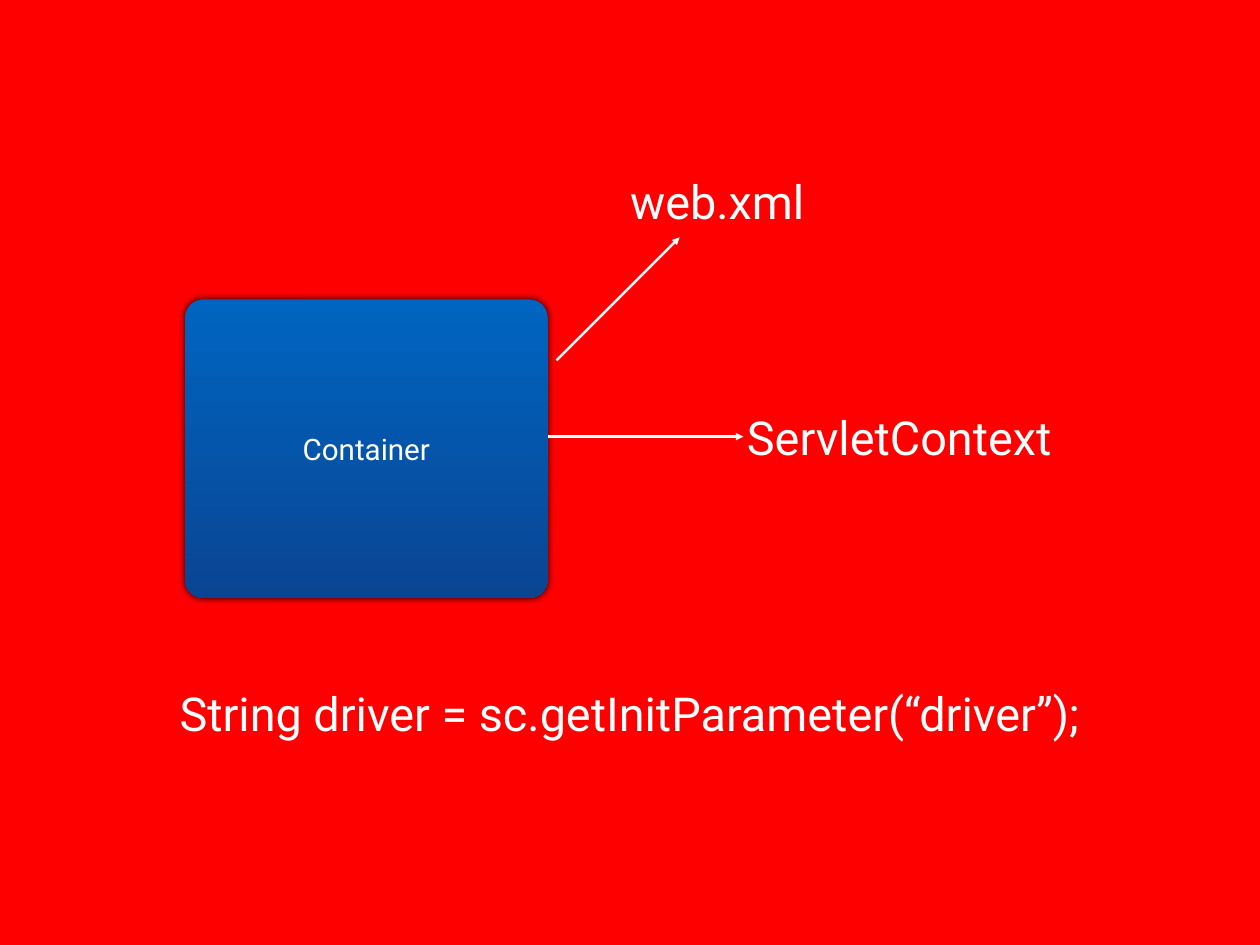
from lxml import etree
from pptx import Presentation
from pptx.dml.color import RGBColor
from pptx.enum.shapes import MSO_CONNECTOR, MSO_SHAPE
from pptx.enum.text import MSO_ANCHOR, MSO_AUTO_SIZE, PP_ALIGN
from pptx.oxml import parse_xml
from pptx.oxml.ns import nsdecls, qn
from pptx.util import Inches, Pt

ROUND = MSO_SHAPE.ROUNDED_RECTANGLE
STRAIGHT = MSO_CONNECTOR.STRAIGHT
MIDDLE = MSO_ANCHOR.MIDDLE
CENTER = PP_ALIGN.CENTER
GROW = MSO_AUTO_SIZE.SHAPE_TO_FIT_TEXT

RED = RGBColor(0xFF, 0x00, 0x00)
WHITE = RGBColor(0xFF, 0xFF, 0xFF)
BLUES = RGBColor(0x00, 0x65, 0xC1), RGBColor(0x09, 0x45, 0x93)
FONT = "Roboto"

# Content: places are percent of the slide's width and height
BOX = ("Container", 14.7, 31.68, 28.76, 31.58)
ROW = 7.03
LABELS = [  # text, left, top, width
    ("ServletContext", 58.86, 42.74, 25.04),
    ("web.xml", 49.58, 17.71, 14.7),
    ("String driver = sc.getInitParameter(“driver”);", 13.08, 71.88, 73.84),
]
ARROWS = [  # from x, y, to x, y
    (44.16, 38.14, 53.94, 25.12),
    (43.46, 46.2, 59, 46.2),
]

deck = Presentation()
deck.slide_width, deck.slide_height = Inches(14.22), Inches(10.67)
slide = deck.slides.add_slide(deck.slide_layouts[6])
slide.background.fill.solid()
slide.background.fill.fore_color.rgb = RED
shapes = slide.shapes


def place(*shares):
    """Turn x, y pairs of percent into lengths."""
    sides = deck.slide_width, deck.slide_height
    return [int(sides[i % 2] * share / 100) for i, share in enumerate(shares)]


def write(shape, text, size):
    frame = shape.text_frame
    frame.margin_left = frame.margin_right = Inches(0.06)
    frame.margin_top = frame.margin_bottom = Inches(0.06)
    frame.vertical_anchor = MIDDLE
    frame.text = text
    para = frame.paragraphs[0]
    para.alignment = CENTER
    para.font.name, para.font.size = FONT, Pt(size)
    para.font.color.rgb = WHITE
    return frame


# Container box with a gradient and a soft shadow
name, *spot = BOX
box = shapes.add_shape(ROUND, *place(*spot))
box.adjustments[0] = 0.06
box.line.fill.background()
box.fill.gradient()
box.fill.gradient_angle = 270
for stop, blue in zip(box.fill.gradient_stops, BLUES):
    stop.color.rgb = blue
box.shadow.inherit = False
glow = box._element.spPr.find(qn("a:effectLst"))
glow.append(parse_xml(
    f'<a:outerShdw {nsdecls("a")} blurRad="{Pt(6)}" dist="0" dir="18900000">'
    '<a:srgbClr val="000000"><a:alpha val="80000"/></a:srgbClr>'
    '</a:outerShdw>'))
write(box, name, 24)

# Labels
for text, left, top, width in LABELS:
    label = shapes.add_textbox(*place(left, top, width, ROW))
    frame = write(label, text, 38)
    frame.word_wrap = False
    frame.auto_size = GROW

# Arrows
for ends in ARROWS:
    arrow = shapes.add_connector(STRAIGHT, *place(*ends))
    arrow.line.color.rgb = WHITE
    arrow.line.width = Pt(2)
    etree.SubElement(arrow.line._get_or_add_ln(), qn("a:tailEnd"),
                     type="triangle")
    etree.SubElement(arrow._element.spPr, qn("a:effectLst"))

deck.save("out.pptx")
